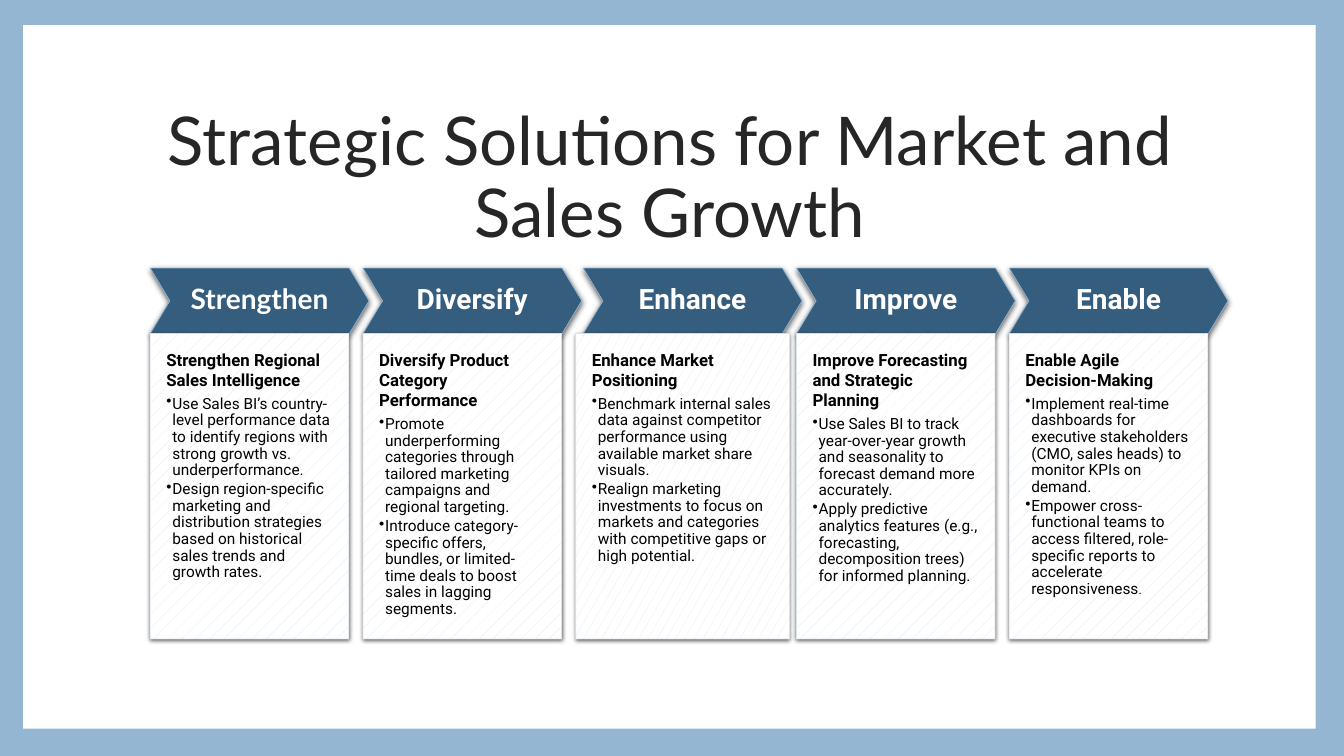
from dataclasses import dataclass

from lxml import etree
from pptx import Presentation
from pptx import util as u
from pptx.dml.color import RGBColor
from pptx.enum import dml, shapes, text
from pptx.oxml.ns import qn

COLORS = {
    "frame": "94B6D2",
    "paper": "FFFFFF",
    "title": "262626",
    "chevron": "355D7E",
    "hatch": "DCE5EE",
    "body": "000000",
    "shadow": "000000",
}
CHEVRON_TOP, CHEVRON_WIDTH, CHEVRON_HEIGHT = 2.66, 2.17, 0.65
CARD_TOP, CARD_WIDTH, CARD_HEIGHT = 3.31, 1.97, 3.03


@dataclass
class Column:
    left: float
    label: str
    heading: str
    bullets: list[str]
    width: float = CARD_WIDTH
    label_font: str = "Roboto"
    pattern: dml.MSO_PATTERN = dml.MSO_PATTERN.PERCENT_5
    ending: str = ""


COLUMNS = [
    Column(1.49, "Strengthen", "Strengthen Regional Sales Intelligence", [
        "Use Sales BI’s country-level performance data to identify regions with strong growth vs. underperformance.",
        "Design region-specific marketing and distribution strategies based on historical sales trends and growth rates.",
    ], label_font="Lato"),
    Column(3.6, "Diversify", "Diversify Product Category Performance", [
        "Promote underperforming categories through tailored marketing campaigns and regional targeting.",
        "Introduce category-specific offers, bundles, or limited-time deals to boost sales in lagging segments.",
    ]),
    Column(5.71, "Enhance", "Enhance Market Positioning", [
        "Benchmark internal sales data against competitor performance using available market share visuals.",
        "Realign marketing investments to focus on markets and categories with competitive gaps or high potential.",
    ], width=2.12, pattern=dml.MSO_PATTERN.SMALL_CONFETTI),
    Column(7.9, "Improve", "Improve Forecasting and Strategic Planning", [
        "Use Sales BI to track year-over-year growth and seasonality to forecast demand more accurately.",
        "Apply predictive analytics features (e.g., forecasting, decomposition trees) for informed planning.",
    ]),
    Column(10.01, "Enable", "Enable Agile Decision-Making", [
        "Implement real-time dashboards for executive stakeholders (CMO, sales heads) to monitor KPIs on demand.",
        "Empower cross-functional teams to access filtered, role-specific reports to accelerate responsiveness",
    ], ending="."),
]


def rgb(name: str) -> RGBColor:
    return RGBColor.from_string(COLORS[name])


def apply(target, values: dict) -> None:
    for name, value in values.items():
        setattr(target, name, value)


def set_frame(box, anchor, insets: tuple) -> None:
    sides = ("margin_left", "margin_top", "margin_right", "margin_bottom")
    apply(box.text_frame, {
        "word_wrap": True,
        "auto_size": text.MSO_AUTO_SIZE.NONE,
        "vertical_anchor": anchor,
        **{side: u.Inches(inset) for side, inset in zip(sides, insets)},
    })


def add_span(para, words: str, font: str, size: float, color: str, bold: bool = False) -> None:
    span = para.add_run()
    span.text = words
    apply(span.font, {"name": font, "size": u.Pt(size), "bold": bold})
    span.font.color.rgb = rgb(color)


def add_box(page, kind, left: float, top: float, width: float, height: float):
    box = page.shapes.add_shape(kind, *map(u.Inches, (left, top, width, height)))
    box.shadow.inherit = False
    return box


def add_panel(page, color: str, left: float, top: float, width: float, height: float) -> None:
    panel = add_box(page, shapes.MSO_SHAPE.RECTANGLE, left, top, width, height)
    panel.fill.solid()
    panel.fill.fore_color.rgb = rgb(color)
    panel.line.fill.background()


def outline(box, color: str) -> None:
    box.line.width = u.Pt(0.5)
    box.line.color.rgb = rgb(color)


def add_alpha(color_element, percent: int) -> None:
    etree.SubElement(color_element, qn("a:alpha"), val=str(percent * 1000))


def cast_shadow(box, blur: float, distance: float) -> None:
    effects = box.element.spPr.find(qn("a:effectLst"))
    shadow = etree.SubElement(
        effects, qn("a:outerShdw"), blurRad=str(u.Pt(blur)), dist=str(u.Pt(distance)),
        dir="5400000", algn="ctr", rotWithShape="0")
    add_alpha(etree.SubElement(shadow, qn("a:srgbClr"), val=COLORS["shadow"]), 63)


def add_chevron(page, column: Column) -> None:
    left = column.left + (column.width - CARD_WIDTH) / 2
    chevron = add_box(page, shapes.MSO_SHAPE.CHEVRON, left, CHEVRON_TOP, CHEVRON_WIDTH, CHEVRON_HEIGHT)
    chevron.adjustments[0] = 0.3
    chevron.fill.solid()
    chevron.fill.fore_color.rgb = rgb("chevron")
    outline(chevron, "frame")
    cast_shadow(chevron, 4.5, 1.5)
    set_frame(chevron, text.MSO_ANCHOR.MIDDLE, (0.08,) * 4)
    para = chevron.text_frame.paragraphs[0]
    apply(para, {"alignment": text.PP_ALIGN.CENTER, "line_spacing": 0.9})
    add_span(para, column.label, column.label_font, 20, "paper", True)


def add_bullet(card, words: str):
    para = card.text_frame.add_paragraph()
    apply(para, {"alignment": text.PP_ALIGN.LEFT, "level": 1,
                 "line_spacing": 0.9, "space_after": u.Pt(1.65)})
    properties = para._p.get_or_add_pPr()
    properties.set("marL", str(u.Inches(0.06)))
    properties.set("indent", str(u.Inches(-0.06)))
    etree.SubElement(properties, qn("a:buChar"), char="•")
    add_span(para, words, "Roboto", 11, "body")
    return para


def add_card(page, column: Column) -> None:
    card = add_box(page, shapes.MSO_SHAPE.RECTANGLE, column.left, CARD_TOP, column.width, CARD_HEIGHT)
    card.fill.patterned()
    card.fill.pattern = column.pattern
    card.fill.fore_color.rgb = rgb("hatch")
    card.fill.back_color.rgb = rgb("paper")
    outline(card, "hatch")
    add_alpha(card.line._ln.find(".//" + qn("a:srgbClr")), 90)
    cast_shadow(card, 3, 1)
    set_frame(card, text.MSO_ANCHOR.TOP, (0.16, 0.16, 0.16, 0.31))
    heading = card.text_frame.paragraphs[0]
    apply(heading, {"alignment": text.PP_ALIGN.LEFT, "space_after": u.Pt(4.2)})
    add_span(heading, column.heading, "Roboto", 12, "body", True)
    paras = [add_bullet(card, words) for words in column.bullets]
    if column.ending:
        add_span(paras[-1], column.ending, "Roboto", 9, "body")


def add_title(page, words: str) -> None:
    title = page.shapes.title
    page.shapes._spTree.append(title.element)
    apply(title, {"left": u.Inches(1.29), "top": u.Inches(0.95),
                  "width": u.Inches(10.71), "height": u.Inches(1.67)})
    set_frame(title, text.MSO_ANCHOR.MIDDLE, (0.1, 0.05, 0.1, 0.05))
    para = title.text_frame.paragraphs[0]
    apply(para, {"alignment": text.PP_ALIGN.CENTER, "line_spacing": 0.9, "space_before": u.Pt(0)})
    add_span(para, words, "Lato", 48, "title")


def main() -> None:
    deck = Presentation()
    apply(deck, {"slide_width": u.Inches(13.33), "slide_height": u.Inches(7.5)})
    page = deck.slides.add_slide(deck.slide_layouts.get_by_name("Title Only"))
    add_panel(page, "frame", 0, 0, 13.33, 7.5)
    add_panel(page, "paper", 0.23, 0.25, 12.82, 6.98)
    add_title(page, "Strategic Solutions for Market and Sales Growth")
    for column in COLUMNS:
        add_chevron(page, column)
        add_card(page, column)
    deck.save("out.pptx")


if __name__ == "__main__":
    main()
